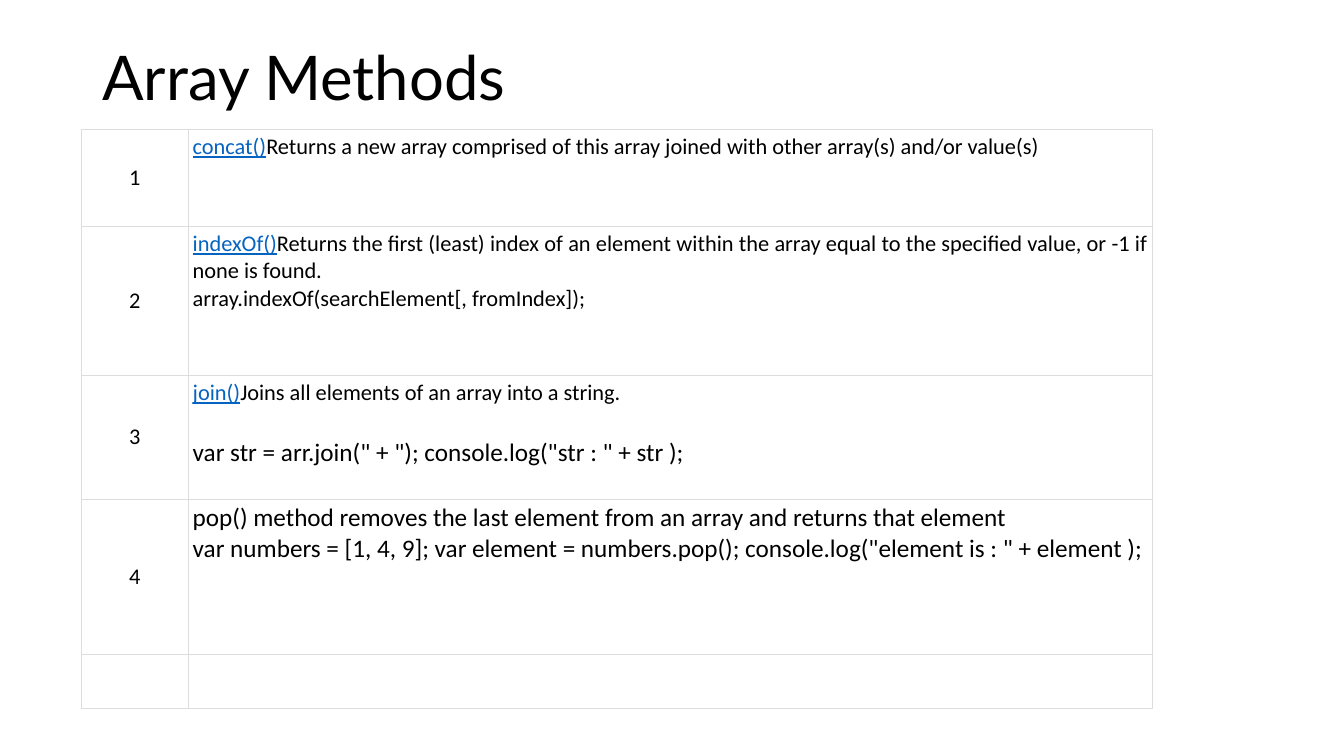
from lxml import etree
from pptx import Presentation
from pptx.dml.color import RGBColor
from pptx.enum.text import MSO_ANCHOR, PP_ALIGN
from pptx.oxml.ns import qn
from pptx.util import Pt

TITLE = "Array Methods"
BLACK, LINK, GRID = "000000", "0563C1", "DDDDDD"

# Each line: (method name shown as a link, text, size, space before)
METHODS = [
    ("1", [("concat()", "Returns a new array comprised of this array joined "
            "with other array(s) and/or value(s)", 16, 0)]),
    ("2", [("indexOf()", "Returns the first (least) index of an element within "
            "the array equal to the specified value, or -1 if none is found.", 16, 0),
           ("", "array.indexOf(searchElement[, fromIndex]);", 16, 0)]),
    ("3", [("join()", "Joins all elements of an array into a string.", 16, 0),
           ("", 'var str = arr.join(" + "); console.log("str : " + str );', 18, 22)]),
    ("4", [("", "pop() method removes the last element from an array and "
            "returns that element", 18, 0),
           ("", "var numbers = [1, 4, 9]; var element = numbers.pop(); "
            'console.log("element is : " + element );', 18, 0)]),
    ("", []),
]
TABLE_LEFT, TABLE_TOP = 57.8, 92.3
COLUMN_WIDTHS = [77, 688.3]
ROW_HEIGHTS = [69.3, 106.4, 88.4, 111.4, 38]
CELL_INSET = 2.88


def color(hex_code):
    return RGBColor.from_string(hex_code)


def set_font(font, name, size, hex_code=BLACK):
    font.name = name
    font.size = Pt(size)
    font.color.rgb = color(hex_code)


def format_cell(cell):
    """Give the cell a thin grey grid, no fill and narrow insets."""
    properties = cell._tc.get_or_add_tcPr()
    for side in ("lnL", "lnR", "lnT", "lnB"):
        line = etree.SubElement(properties, qn(f"a:{side}"), w=str(Pt(0.6)))
        fill = etree.SubElement(line, qn("a:solidFill"))
        etree.SubElement(fill, qn("a:srgbClr"), val=GRID)
    cell.fill.background()
    cell.margin_left = cell.margin_right = Pt(CELL_INSET)
    cell.margin_top = cell.margin_bottom = Pt(CELL_INSET)


def write_number(cell, number):
    cell.vertical_anchor = MSO_ANCHOR.MIDDLE
    paragraph = cell.text_frame.paragraphs[0]
    paragraph.text = number
    paragraph.alignment = PP_ALIGN.CENTER
    set_font(paragraph.font, "Calibri", 16)


def write_description(cell, lines):
    frame = cell.text_frame
    for index, (method, text, size, space_before) in enumerate(lines):
        paragraph = frame.add_paragraph() if index else frame.paragraphs[0]
        paragraph.alignment = PP_ALIGN.JUSTIFY
        paragraph.space_before = Pt(space_before)
        set_font(paragraph.font, "Calibri", size)
        if method:
            link = paragraph.add_run()
            link.text = method
            link.font.color.rgb = color(LINK)
            link.font.underline = True
        paragraph.add_run().text = text


def add_title(slide):
    frame = slide.shapes.add_textbox(Pt(66), Pt(28.8), Pt(828), Pt(60)).text_frame
    frame.word_wrap = True
    frame.margin_top = Pt(4.7)
    heading = frame.paragraphs[0]
    heading.text = TITLE
    heading.line_spacing = 0.9
    set_font(heading.font, "Lato", 44)


def add_methods(slide):
    table = slide.shapes.add_table(
        len(METHODS), len(COLUMN_WIDTHS), Pt(TABLE_LEFT), Pt(TABLE_TOP),
        Pt(sum(COLUMN_WIDTHS)), Pt(sum(ROW_HEIGHTS))).table
    table.first_row = table.horz_banding = False
    for column, width in zip(table.columns, COLUMN_WIDTHS):
        column.width = Pt(width)
    for row, height, (number, lines) in zip(table.rows, ROW_HEIGHTS, METHODS):
        row.height = Pt(height)
        number_cell, description_cell = row.cells
        for cell in (number_cell, description_cell):
            format_cell(cell)
        write_number(number_cell, number)
        write_description(description_cell, lines)


def main():
    presentation = Presentation()
    presentation.slide_width, presentation.slide_height = Pt(960), Pt(540)
    slide = presentation.slides.add_slide(presentation.slide_layouts[6])
    add_title(slide)
    add_methods(slide)
    presentation.save("out.pptx")


if __name__ == "__main__":
    main()
